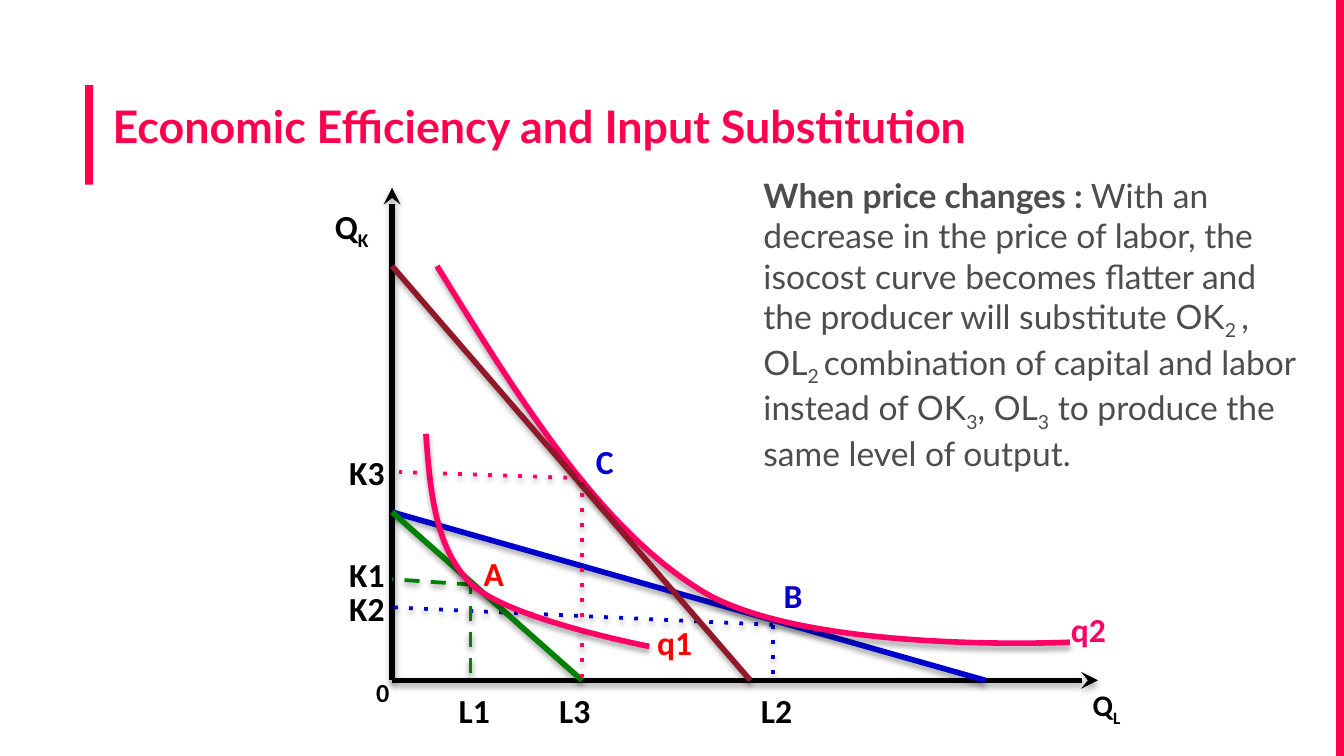
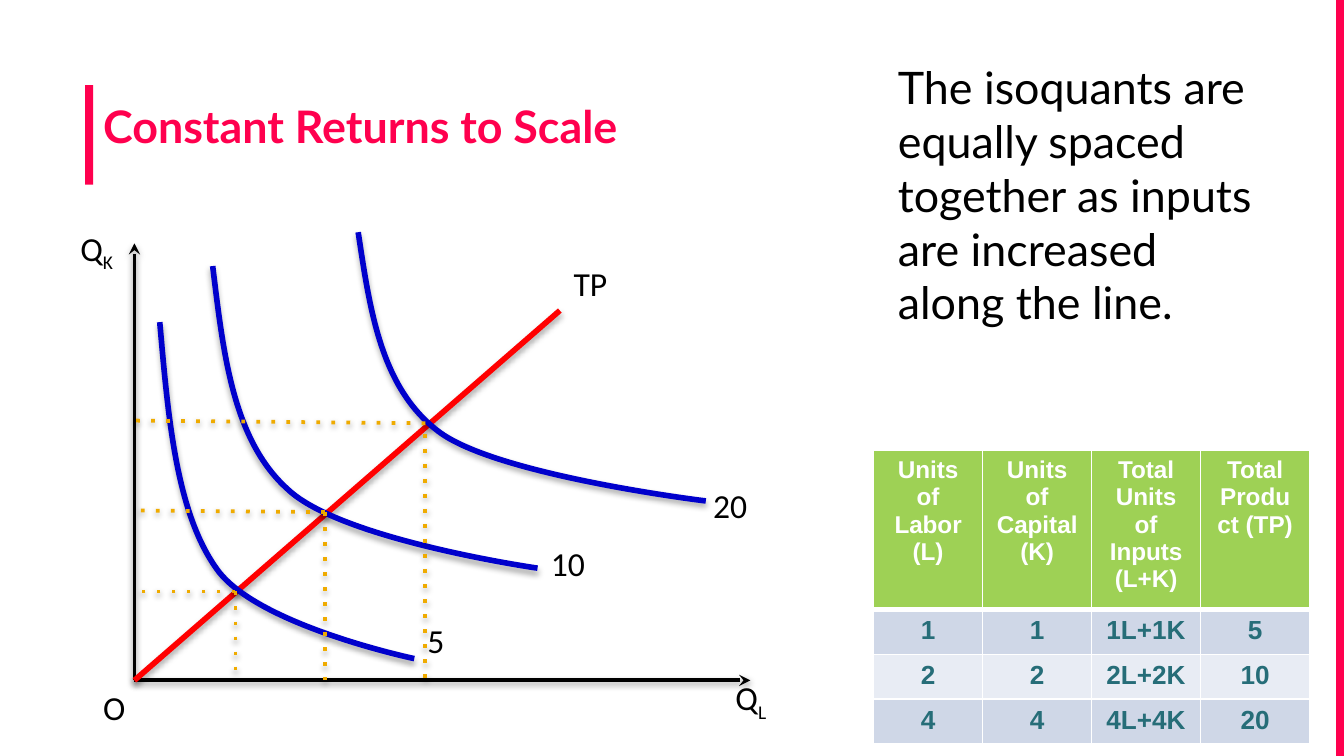
"""Build two economics slides: input substitution and constant returns to scale."""
from dataclasses import dataclass
from typing import NamedTuple

from lxml.etree import SubElement
from pptx import Presentation
from pptx.dml.color import RGBColor
from pptx.enum.shapes import MSO_CONNECTOR as Connector, MSO_SHAPE as Shape
from pptx.enum.text import MSO_ANCHOR as Anchor, MSO_AUTO_SIZE as AutoSize, PP_ALIGN as Align
from pptx.oxml.ns import qn
from pptx.util import Cm, Pt

COLORS = {
    "brand": "FF004E", "black": "000000", "white": "FFFFFF", "gray": "4D4D4D",
    "blue": "0000CC", "green": "008000", "red": "FF0000", "pink": "FF0066",
    "maroon": "901829", "amber": "EFAB00", "header": "9ED155",
    "band": "CFD7E7", "pale": "E8ECF4", "teal": "266D78",
}
WIDTH, HEIGHT = 25.4, 14.29
BASE = 12.86
Point = tuple[float, float]


class Span(NamedTuple):
    text: str
    bold: bool = False
    sub: bool = False


@dataclass
class Stroke:
    points: list[Point]
    color: str
    width: float = 3
    dash: str = ""
    arrow: bool = False


@dataclass
class Label:
    text: str
    x: float
    y: float
    sub: str = ""
    color: str = "black"
    size: float = 18
    width: float = 1.19


def rgb(name: str) -> RGBColor:
    return RGBColor.from_string(COLORS[name])


def set_font(font, name: str, size: float, color: str) -> None:
    font.name, font.size = name, Pt(size)
    font.color.rgb = rgb(color)


def add_text(page, frame: tuple, spans: list[Span], font: str, size: float, color: str,
             anchor=Anchor.TOP, grow: bool = True) -> None:
    box = page.shapes.add_textbox(*map(Cm, frame)).text_frame
    box.word_wrap = True
    box.vertical_anchor = anchor
    if grow:
        box.auto_size = AutoSize.SHAPE_TO_FIT_TEXT
    para = box.paragraphs[0]
    set_font(para.font, font, size, color)
    para.font.bold = all(span.bold for span in spans)
    for span in spans:
        run = para.add_run()
        run.text = span.text
        if span.bold and not para.font.bold:
            run.font.bold = True
        if span.sub:
            run._r.get_or_add_rPr().set("baseline", "-25000")


def add_label(page, label: Label, bold: bool) -> None:
    spans = [Span(label.text, bold)]
    if label.sub:
        spans.append(Span(label.sub, bold, True))
    frame = (label.x, label.y, label.width, 1.02)
    add_text(page, frame, spans, "Calibri", label.size, label.color)


def add_shadow(properties, solid: bool) -> None:
    effects = SubElement(properties, qn("a:effectLst"))
    shadow = SubElement(effects, qn("a:outerShdw"), blurRad="40000",
                        dist="23000" if solid else "20000", dir="5400000", rotWithShape="0")
    color = SubElement(shadow, qn("a:srgbClr"), val=COLORS["black"])
    SubElement(color, qn("a:alpha"), val="35000" if solid else "37000")


def add_curve(page, points: list[Point]):
    """Draw two joined cubic arcs, the second one ending on its own last handle."""
    corners = [(Cm(x), Cm(y)) for x, y in points]
    outline = page.shapes.build_freeform(*corners[0])
    outline.add_line_segments(corners[1:] + corners[-1:] * 2, close=False)
    shape = outline.convert_to_shape()
    shape.fill.background()
    segments = list(shape._element.iter(qn("a:lnTo")))
    trace = segments[0].getparent()
    for segment in segments:
        trace.remove(segment)
    for start in (0, 3):
        arc = SubElement(trace, qn("a:cubicBezTo"))
        for segment in segments[start:start + 3]:
            arc.append(segment[0])
    trace.append(segments[-1])
    return shape


def add_stroke(page, stroke: Stroke) -> None:
    if len(stroke.points) == 2:
        (x1, y1), (x2, y2) = stroke.points
        shape = page.shapes.add_connector(Connector.STRAIGHT, Cm(x1), Cm(y1), Cm(x2), Cm(y2))
    else:
        shape = add_curve(page, stroke.points)
    shape.line.width = Pt(stroke.width)
    shape.line.color.rgb = rgb(stroke.color)
    properties = shape._element.spPr
    line = properties.find(qn("a:ln"))
    if stroke.dash:
        SubElement(line, qn("a:prstDash"), val=stroke.dash)
    if stroke.arrow:
        SubElement(line, qn("a:tailEnd"), type="stealth")
    add_shadow(properties, stroke.width > 2)


def add_axes(page, left: float, top: float, right: float, width: float) -> None:
    for end in ((left, top), (right, BASE)):
        add_stroke(page, Stroke([(left, BASE), end], "black", width, arrow=True))


def add_page(deck, title: str, title_left: float):
    page = deck.slides.add_slide(deck.slide_layouts[6])
    for frame in ((1.61, 1.61, 0.15, 1.88), (WIDTH - 0.15, 0, 0.15, HEIGHT)):
        bar = page.shapes.add_shape(Shape.RECTANGLE, *map(Cm, frame))
        bar.shadow.inherit = False
        bar.fill.solid()
        bar.fill.fore_color.rgb = rgb("brand")
        bar.line.fill.background()
    add_text(page, (title_left, 1.17, 23.25, 2.39), [Span(title, True)],
             "Lato", 24, "brand", Anchor.MIDDLE, False)
    return page


def style_cell(cell, text: str, size: float, color: str, fill: str, bottom: float) -> None:
    properties = cell._tc.get_or_add_tcPr()
    for side, width in (("L", 1), ("R", 1), ("B", bottom)):
        border = SubElement(properties, qn(f"a:ln{side}"), w=str(Pt(width)))
        paint = SubElement(border, qn("a:solidFill"))
        SubElement(paint, qn("a:srgbClr"), val=COLORS["white"])
    cell.fill.solid()
    cell.fill.fore_color.rgb = rgb(fill)
    cell.text = text
    para = cell.text_frame.paragraphs[0]
    para.alignment = Align.CENTER
    set_font(para.font, "Arial", size, color)
    para.font.bold = True


def add_output_table(page) -> None:
    rows = [("Units of Labor (L)", "Units of Capital (K)",
             "Total Units of Inputs (L+K)", "Total Product (TP)")]
    rows += [(str(n), str(n), f"{n}L+{n}K", str(5 * n)) for n in (1, 2, 4)]
    frame = map(Cm, (16.51, 8.51, 8.24, 5.49))
    table = page.shapes.add_table(len(rows), len(rows[0]), *frame).table
    for column in table.columns:
        column.width = Cm(2.06)
    for index, texts in enumerate(rows):
        table.rows[index].height = Cm(0.84 if index else 2.97)
        for cell, text in zip(table.rows[index].cells, texts):
            if index:
                style_cell(cell, text, 14, "teal", "band" if index % 2 else "pale", 1)
            else:
                style_cell(cell, text, 13, "white", "header", 3)


def build_substitution(deck) -> None:
    page = add_page(deck, "Economic Efficiency and Input Substitution", 1.88)
    left = 7.41
    add_axes(page, left, 3.55, 20.75, 3)
    strokes = [
        Stroke([(left, 9.68), (18.62, BASE)], "blue"),
        Stroke([(14.61, 11.81), (left, 11.48)], "blue", 2, "dot"),
        Stroke([(8.92, 11.05), (left, 10.95)], "green", 2, "dash"),
        Stroke([(8.89, 10.95), (8.89, BASE)], "green", 2, "dash"),
        Stroke([(14.61, 11.81), (14.61, BASE)], "blue", 2, "dot"),
        Stroke([(8.26, 5.03), (9.8, 7.52), (11.33, 10.01), (13.31, 11.2),
                (15.32, 12.37), (20.22, 12.14)], "pink"),
        Stroke([(left, 9.68), (11, BASE)], "green"),
        Stroke([(8.05, 8.2), (8.13, 9.3), (8.23, 10.39), (8.92, 11.05),
                (9.63, 11.71), (12.27, 12.22)], "pink"),
        Stroke([(left, 5.03), (14.18, BASE)], "maroon"),
        Stroke([(11, 9.04), (7.54, 8.92)], "pink", 2, "dot"),
        Stroke([(11, 9.04), (11, BASE)], "pink", 2, "dot"),
    ]
    for stroke in strokes:
        add_stroke(page, stroke)
    labels = [
        Label("0", 6.86, 12.66, size=14, width=0.77),
        Label("Q", 20.4, 12.86, "L", size=16, width=1.07),
        Label("Q", 6.08, 3.76, "K"),
        Label("q2", 19.99, 11.38, color="pink"),
        Label("q1", 12.17, 11.63, color="red"),
        Label("A", 8.89, 10.32, color="red", width=0.89),
        Label("B", 14.56, 10.74, color="blue", width=0.87),
        Label("C", 11.01, 8.21, color="blue", width=0.87),
    ]
    labels += [Label(f"K{n}", 6.35, y) for n, y in ((1, 10.35), (2, 10.99), (3, 8.41))]
    labels += [Label(f"L{n}", x, 12.91, width=1.12)
               for n, x in ((1, 8.42), (2, 14.13), (3, 10.32))]
    for label in labels:
        add_label(page, label, True)
    spans = [
        Span("When price changes : ", bold=True),
        Span("With an decrease in the price of labor, the isocost curve becomes "
             "flatter and the producer will substitute OK"),
        Span("2 ", sub=True), Span(", OL"), Span("2 ", sub=True),
        Span("combination of capital and labor instead of OK"),
        Span("3", sub=True), Span(", OL"), Span("3", sub=True),
        Span(" to produce the same level of output."),
    ]
    add_text(page, (14.18, 3.18, 10.8, 5.64), spans, "Lato", 18, "gray")


def build_returns(deck) -> None:
    page = add_page(deck, "Constant Returns to Scale", 1.7)
    left = 2.54
    add_axes(page, left, 4.6, 14.18, 2)
    add_stroke(page, Stroke([(left, BASE), (10.58, 5.87)], "red"))
    isoquants = [
        [(3.02, 6.09), (3.18, 7.9), (3.33, 9.73), (4.13, 10.8), (4.93, 11.84), (7.83, 12.45)],
        [(4.02, 5.03), (4.22, 6.65), (4.39, 8.31), (5.44, 9.25), (6.45, 10.21), (10.16, 10.74)],
        [(6.77, 4.39), (6.99, 5.84), (7.19, 7.32), (8.28, 8.15), (9.37, 8.99), (13.34, 9.47)],
    ]
    for points in isoquants:
        add_stroke(page, Stroke(points, "blue"))
    labels = [
        Label("Q", 1.27, 4.18, "K"), Label("Q", 13.65, 12.68, "L"),
        Label("O", 1.7, 12.86, width=0.94), Label("5", 7.83, 11.59),
        Label("10", 10.16, 10.13), Label("20", 13.23, 9.05), Label("TP", 10.59, 4.85),
    ]
    for label in labels:
        add_label(page, label, False)
    text = "The isoquants are equally spaced together as inputs are increased along the line."
    add_text(page, (16.72, 1.01, 7.62, 5.38), [Span(text)], "Lato", 24, "black")
    guides = ((4.45, 11.18, 11.18, 11.18), (6.14, 9.68, 9.65, 9.68), (8.04, 8, 7.95, 8.2))
    for x, y, axis_y, drop_y in guides:
        add_stroke(page, Stroke([(x, y), (left, axis_y)], "amber", 2, "dot"))
        add_stroke(page, Stroke([(x, drop_y), (x, BASE)], "amber", 2, "dot"))
    add_output_table(page)


def main() -> None:
    deck = Presentation()
    deck.slide_width, deck.slide_height = Cm(WIDTH), Cm(HEIGHT)
    build_substitution(deck)
    build_returns(deck)
    deck.save("out.pptx")


if __name__ == "__main__":
    main()
